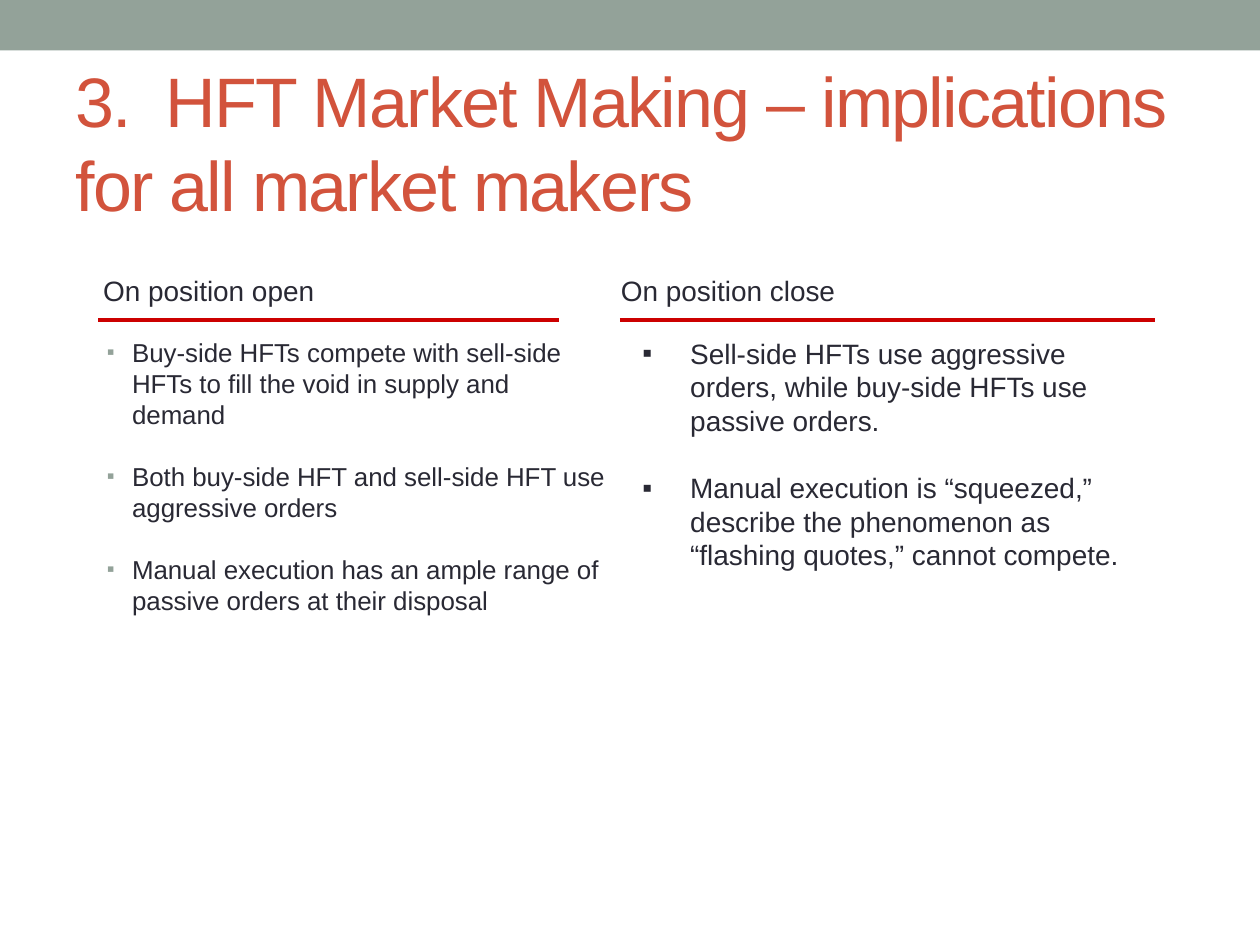
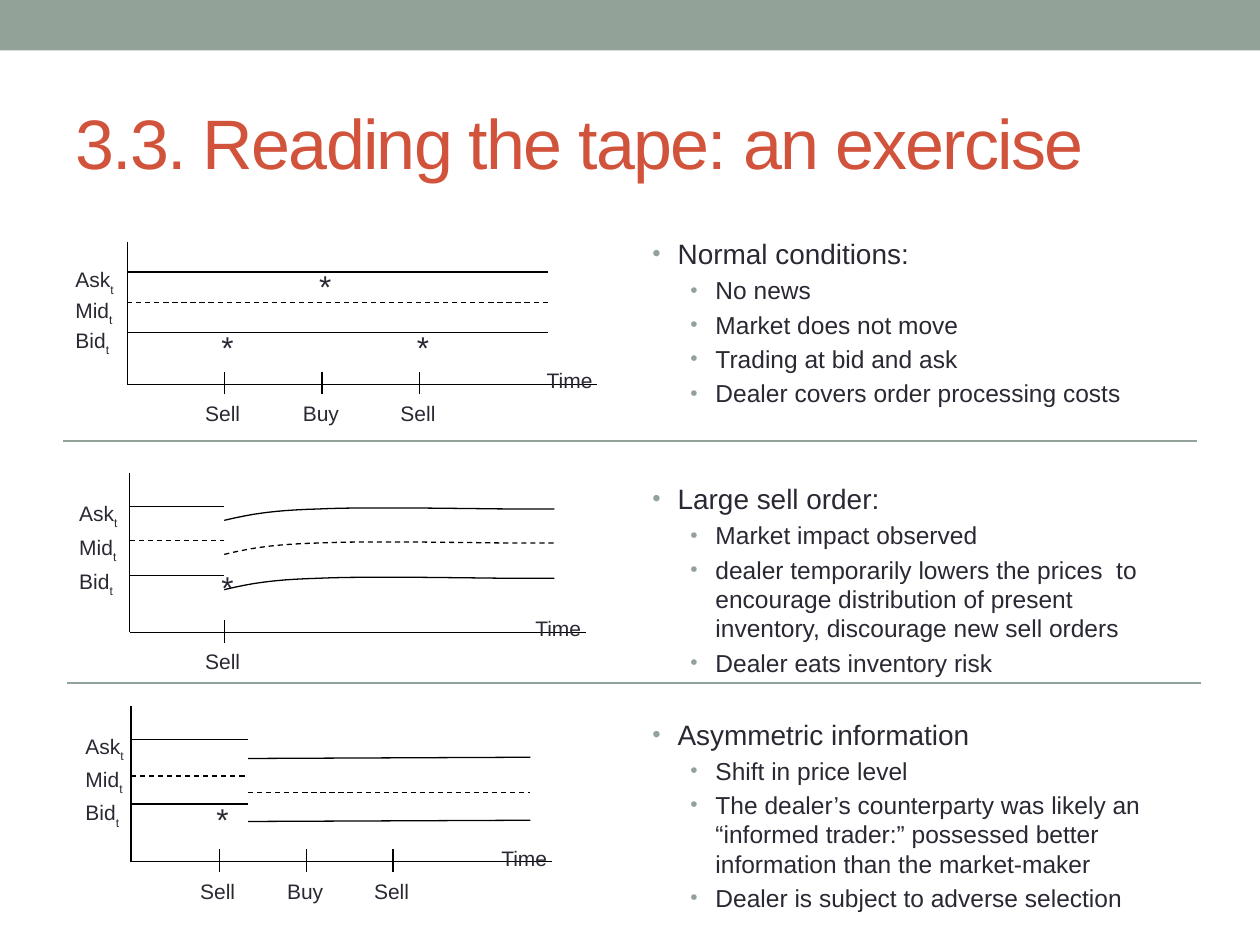
from dataclasses import dataclass

from lxml.etree import SubElement
from pptx import Presentation
from pptx.dml.color import RGBColor
from pptx.enum.dml import MSO_LINE
from pptx.enum.shapes import MSO_CONNECTOR, MSO_SHAPE
from pptx.enum.text import MSO_ANCHOR as ANCHOR, MSO_AUTO_SIZE as AUTO_SIZE, PP_ALIGN
from pptx.oxml.ns import qn
from pptx.util import Inches, Pt

SAGE = RGBColor(0x93, 0xA2, 0x99)
RUST = RGBColor(0xD2, 0x53, 0x3C)
INK = RGBColor(0x29, 0x29, 0x34)
RED = RGBColor(0xCC, 0x00, 0x00)
BLACK = RGBColor(0x00, 0x00, 0x00)
FONT = "Arial"
LINE_HEIGHT = 1.2

# Ask and bid are solid, mid is dashed
QUOTES = {"Ask": None, "Mid": MSO_LINE.DASH, "Bid": None}

# Recovery after a large sell order: x and drop below the quote level
RECOVERY_START = (1.78, 0.11)
RECOVERY_CURVES = [
    ((1.95, 0.07), (2.13, 0.03), (2.52, 0.02)),
    ((2.92, 0.0), (3.84, 0.02), (4.15, 0.02)),
]
RECOVERY_END = (4.4, 0.02)


@dataclass
class Tape:
    left: float
    top: float
    base: float
    right: float
    label_left: float
    label_top: float
    label_step: float
    levels: tuple
    quote_end: float
    first_trade: float
    trade_step: float
    trades: tuple  # (side, quote marked with a star)
    recovers: bool = False
    shifted: tuple = ()
    shifted_end: float = 0


TAPES = [
    Tape(1.01, 1.92, 3.05, 4.74, 0.5, 2.07, 0.24, (2.16, 2.4, 2.64), 4.35,
         1.78, 0.775, (("Sell", "Bid"), ("Buy", "Ask"), ("Sell", "Bid"))),
    Tape(1.03, 3.75, 5.02, 4.65, 0.53, 3.92, 0.27, (4.02, 4.29, 4.57), 1.78,
         1.78, 0, (("Sell", "Bid"),), recovers=True),
    Tape(1.04, 5.6, 6.84, 4.38, 0.58, 5.77, 0.265, (5.87, 6.16, 6.38), 1.97,
         1.74, 0.69, (("Sell", "Bid"), ("Buy", None), ("Sell", None)),
         shifted=((6.02, 6.01), (6.29, 6.29), (6.52, 6.51)), shifted_end=4.21),
]

# Blank lines above the heading, heading, points
CONDITIONS = [
    (0, "Normal conditions:",
     ["No news", "Market does not move", "Trading at bid and ask",
      "Dealer covers order processing costs"]),
    (2, "Large sell order:",
     ["Market impact observed",
      "dealer temporarily lowers the prices  to encourage distribution of "
      "present inventory, discourage new sell orders",
      "Dealer eats inventory risk"]),
    (1, "Asymmetric information",
     ["Shift in price level",
      "The dealer’s counterparty was likely an “informed trader:” possessed "
      "better information than the market-maker",
      "Dealer is subject to adverse selection"]),
]

OPEN_POINTS = [
    "Buy-side HFTs compete with sell-side HFTs to fill the void in supply and demand",
    "Both buy-side HFT and sell-side HFT use aggressive orders",
    "Manual execution has an ample range of passive orders at their disposal",
]
CLOSE_POINTS = [
    "Sell-side HFTs use aggressive orders, while buy-side HFTs use passive orders.",
    "Manual execution is “squeezed,” describe the phenomenon as “flashing quotes,” "
    "cannot compete.",
]


def add_run(paragraph, text, size, color=INK):
    run = paragraph.add_run()
    run.text = text
    for name, value in {"name": FONT, "size": Pt(size)}.items():
        setattr(run.font, name, value)
    run.font.color.rgb = color
    return run


def add_line(shapes, start, end, color=BLACK, width=0.75, dash=None):
    line = shapes.add_connector(MSO_CONNECTOR.STRAIGHT,
                                *(Inches(v) for v in (*start, *end)))
    line.line.color.rgb = color
    line.line.width = Pt(width)
    if dash:
        line.line.dash_style = dash
    SubElement(line._element.spPr, qn("a:effectLst"))


def add_text_frame(shapes, left, top, width, height, wrap=True):
    box = shapes.add_textbox(*(Inches(v) for v in (left, top, width, height)))
    box.text_frame.word_wrap = wrap
    return box.text_frame


def add_label(shapes, text, left, top, size=12, width=0.62, height=0.27,
              subscript="", wrap=True):
    frame = add_text_frame(shapes, left, top, width, height, wrap)
    paragraph = frame.paragraphs[0]
    add_run(paragraph, text, size)
    if subscript:
        run = add_run(paragraph, subscript, size)
        run._r.get_or_add_rPr().set("baseline", "-30000")


def add_bullet(frame, text, size, mark, indent, hang, color=None, before=0):
    """Add a bulleted paragraph; a bullet colour also brings the smaller bullet."""
    first = not frame.paragraphs[0].runs
    paragraph = frame.paragraphs[0] if first else frame.add_paragraph()
    properties = paragraph._p.get_or_add_pPr()
    properties.set("marL", str(Inches(indent)))
    properties.set("indent", str(-Inches(hang)))
    if color:
        SubElement(SubElement(properties, qn("a:buClr")), qn("a:srgbClr"), val=str(color))
        SubElement(properties, qn("a:buSzPct"), val="85000")
    SubElement(properties, qn("a:buFont"), typeface=FONT)
    SubElement(properties, qn("a:buChar"), char=mark)
    if not first:
        paragraph.space_before = Pt(before)
    add_run(paragraph, text, size)


def add_titled_slide(deck, title):
    """Start a slide with the shared band and title style."""
    slide = deck.slides.add_slide(deck.slide_layouts[5])
    band = slide.shapes.add_shape(MSO_SHAPE.RECTANGLE, 0, 0, deck.slide_width, Inches(0.4))
    band.shadow.inherit = False
    band.fill.solid()
    band.fill.fore_color.rgb = SAGE
    band.line.fill.background()

    heading = slide.shapes.title
    place = {"left": 0.5, "top": 0.58, "width": 9, "height": 1.08}
    for name, value in place.items():
        setattr(heading, name, Inches(value))
    frame = heading.text_frame
    style = {"word_wrap": True, "auto_size": AUTO_SIZE.NONE,
             "vertical_anchor": ANCHOR.MIDDLE}
    for name, value in style.items():
        setattr(frame, name, value)
    frame.paragraphs[0].alignment = PP_ALIGN.LEFT
    run = add_run(frame.paragraphs[0], title, 40, RUST)
    run._r.get_or_add_rPr().set("spc", "-100")
    return slide


def add_position_column(shapes, heading, label_left, rule, body_left, points, size,
                        indent, bullet_color=None):
    add_label(shapes, heading, label_left, 2.12, 16, 1.92, 0.37, wrap=False)
    add_line(shapes, (rule[0], 2.54), (rule[1], 2.54), RED, 2.25)
    frame = add_text_frame(shapes, body_left, 2.62, 4.17, 2.21)
    for point in points:
        add_bullet(frame, point, size, "▪", indent, indent, bullet_color,
                   before=size * LINE_HEIGHT)


def bezier_point(t, *controls):
    weights = ((1 - t) ** 3, 3 * t * (1 - t) ** 2, 3 * t * t * (1 - t), t ** 3)
    return tuple(sum(w * c[axis] for w, c in zip(weights, controls)) for axis in (0, 1))


def add_recovery(shapes, level, dash, steps=12):
    points = [RECOVERY_START]
    for curve in RECOVERY_CURVES:
        start = points[-1]
        points += [bezier_point(i / steps, start, *curve) for i in range(1, steps + 1)]
    points.append(RECOVERY_END)
    outline = [(Inches(x), Inches(level + drop)) for x, drop in points]
    builder = shapes.build_freeform(*outline[0])
    builder.add_line_segments(outline[1:], close=False)
    recovery = builder.convert_to_shape()
    recovery.shadow.inherit = False
    recovery.fill.background()
    recovery.line.color.rgb = BLACK
    recovery.line.width = Pt(0.75)
    if dash:
        recovery.line.dash_style = dash


def add_tape(slide, tape):
    shapes = slide.shapes.add_group_shape().shapes
    # Quotes, before and after the order
    label_tops = {}
    for i, (quote, dash) in enumerate(QUOTES.items()):
        level = tape.levels[i]
        if tape.recovers:
            add_recovery(shapes, level, dash)
        if tape.shifted:
            before, after = tape.shifted[i]
            add_line(shapes, (tape.quote_end, before), (tape.shifted_end, after), dash=dash)
        add_line(shapes, (tape.left, level), (tape.quote_end, level), dash=dash)
        label_tops[quote] = tape.label_top + i * tape.label_step
        add_label(shapes, quote, tape.label_left, label_tops[quote], subscript="t")
    # Axes
    add_line(shapes, (tape.left, tape.top), (tape.left, tape.base))
    add_line(shapes, (tape.left, tape.base), (tape.right, tape.base))
    add_label(shapes, "Time", tape.right - 0.5, tape.base - 0.18)
    # Trades
    for i, (side, quote) in enumerate(tape.trades):
        x = tape.first_trade + i * tape.trade_step
        add_line(shapes, (x, tape.base - 0.1), (x, tape.base + 0.08))
        add_label(shapes, side, x - 0.25, tape.base + 0.08)
        if quote:
            add_label(shapes, "*", x - 0.12, label_tops[quote], 18, 0.37, 0.18)


def add_conditions(slide):
    frame = add_text_frame(slide.shapes, 5.08, 1.83, 4.42, 5.16)
    line_gap = 14 * (LINE_HEIGHT + 0.2)
    for blank_lines, heading, points in CONDITIONS:
        add_bullet(frame, heading, 16, "•", 0.2, 0.2, SAGE, 3.2 + blank_lines * line_gap)
        for point in points:
            add_bullet(frame, point, 14, "•", 0.5, 0.2, SAGE, 2.8)


def main():
    deck = Presentation()
    deck.slide_width, deck.slide_height = Inches(10), Inches(7.5)

    # Slide 1: market making
    making = add_titled_slide(
        deck, "3.  HFT Market Making – implications for all market makers")
    add_position_column(making.shapes, "On position open", 0.72, (0.78, 4.44), 0.75,
                        OPEN_POINTS, 14.8, 0.2, SAGE)
    add_position_column(making.shapes, "On position close", 4.83, (4.92, 9.17), 5,
                        CLOSE_POINTS, 16, 0.38)

    # Slide 2: reading the tape
    reading = add_titled_slide(deck, "3.3. Reading the tape: an exercise")
    add_conditions(reading)
    for tape in TAPES:
        add_tape(reading, tape)
    for left, y in ((0.5, 3.5), (0.53, 5.42)):
        add_line(reading.shapes, (left, y), (left + 9, y), SAGE)

    deck.save("out.pptx")


if __name__ == "__main__":
    main()
